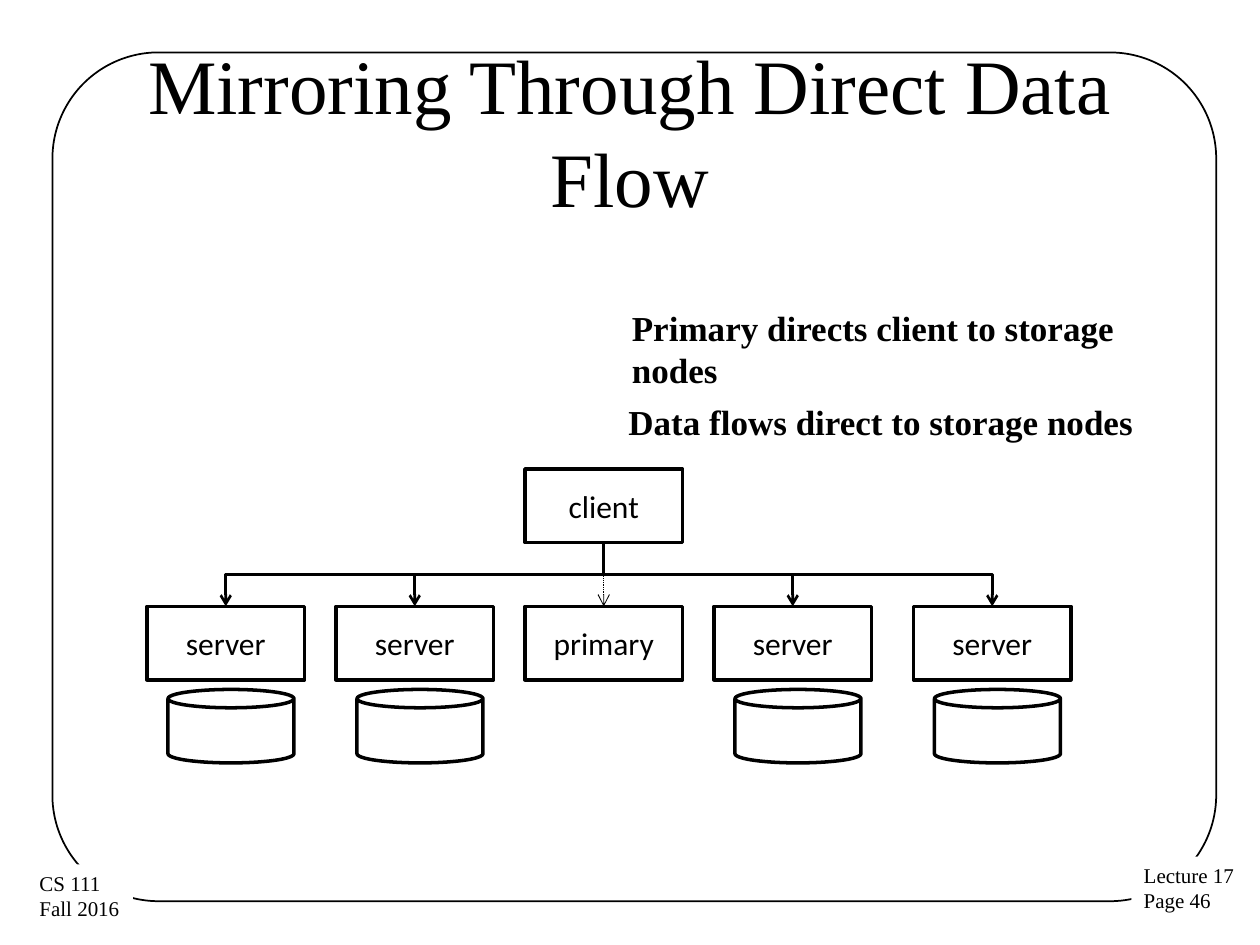
from pptx import Presentation
from pptx.dml.color import RGBColor
from pptx.enum.dml import MSO_LINE
from pptx.enum.shapes import MSO_CONNECTOR, MSO_SHAPE
from pptx.enum.text import MSO_ANCHOR, PP_ALIGN
from pptx.oxml.ns import qn
from pptx.util import Pt
from lxml import etree

LEFT, CENTER = PP_ALIGN.LEFT, PP_ALIGN.CENTER
TOP, MIDDLE = MSO_ANCHOR.TOP, MSO_ANCHOR.MIDDLE
RECT, ROUNDED, CAN = MSO_SHAPE.RECTANGLE, MSO_SHAPE.ROUNDED_RECTANGLE, MSO_SHAPE.CAN
STRAIGHT, ELBOW = MSO_CONNECTOR.STRAIGHT, MSO_CONNECTOR.ELBOW
DOTTED = MSO_LINE.ROUND_DOT

COLORS = {"ink": "000000", "paper": "FFFFFF"}
SERIF, SANS = "Times New Roman", "Calibri"

TITLE = "Mirroring Through Direct Data Flow"
FRAME = (30, 30, 665, 485)
CORNERS = [
    (["Lecture 17", "Page 46"], (646.5, 489.5, 67, 37)),
    (["CS 111", "Fall 2016 "], (15.5, 494, 60.5, 37)),
]
REMARKS = [
    ("Data flows direct to storage nodes", (352, 225.5, 312, 31.5)),
    ("Primary directs client to storage nodes", (354, 171.5, 312, 55.5)),
]
NODES = [("server", 84), ("server", 192), ("primary", 300), ("server", 408), ("server", 522)]
CLIENT_LEFT, CLIENT_TOP = 300, 268
NODE_TOP, DISK_TOP = 346.5, 394
BOX_W, BOX_H = 90, 42
DISK_W, DISK_INDENT = 72, 12


def color(name):
    return RGBColor.from_string(COLORS[name])


def write(frame, lines, size=18, font=SANS, bold=False, align=CENTER, anchor=MIDDLE, wrap=True):
    frame.word_wrap = wrap
    frame.vertical_anchor = anchor
    frame.text = "\n".join(lines)
    for paragraph in frame.paragraphs:
        paragraph.alignment = align
        style = paragraph.runs[0].font
        style.size, style.name, style.bold = Pt(size), font, bold
        style.color.rgb = color("ink")


def draw(kind, box, line=None, fill=None):
    shape = slide.shapes.add_shape(kind, *map(Pt, box))
    shape.shadow.inherit = False
    if fill:
        shape.fill.solid()
        shape.fill.fore_color.rgb = color(fill)
    else:
        shape.fill.background()
    if line:
        shape.line.color.rgb = color("ink")
        shape.line.width = Pt(line)
    else:
        shape.line.fill.background()
    return shape


def arrow(kind, start, end, width):
    link = slide.shapes.add_connector(kind, *map(Pt, start + end))
    link.line.color.rgb = color("ink")
    link.line.width = Pt(width)
    etree.SubElement(link.line._get_or_add_ln(), qn("a:tailEnd"), type="arrow")
    etree.SubElement(link._element.spPr, qn("a:effectLst"))
    return link


def drop(start, end):
    (x1, y1), (x2, y2) = start, end
    span, fall = abs(x2 - x1), y2 - y1
    mid_x, mid_y = (x1 + x2) / 2, (y1 + y2) / 2
    link = arrow(ELBOW, (mid_x - fall / 2, mid_y - span / 2),
                 (mid_x + fall / 2, mid_y + span / 2), 1.5)
    turn = link._element.spPr.find(qn("a:xfrm"))
    turn.set("rot", str((90 if x2 < x1 else 270) * 60000))
    if x2 > x1:
        turn.set("flipH", "1")


prs = Presentation()
prs.slide_width, prs.slide_height = Pt(720), Pt(540)
slide = prs.slides.add_slide(prs.slide_layouts[5])

draw(ROUNDED, FRAME, line=1).adjustments[0] = 0.125
for lines, box in CORNERS:
    corner = draw(RECT, box, fill="paper")
    write(corner.text_frame, lines, size=12, font=SERIF, align=LEFT, anchor=TOP, wrap=False)

title = slide.shapes.title
title.left, title.top, title.width, title.height = map(Pt, (36, 29.5, 648, 90))
write(title.text_frame, [TITLE], size=44, font=SERIF)

client = draw(RECT, (CLIENT_LEFT, CLIENT_TOP, BOX_W, BOX_H), line=2)
write(client.text_frame, ["client"])
source = (CLIENT_LEFT + BOX_W / 2, CLIENT_TOP + BOX_H)

for label, left in NODES:
    node = draw(RECT, (left, NODE_TOP, BOX_W, BOX_H), line=2)
    write(node.text_frame, [label])
    target = (left + BOX_W / 2, NODE_TOP)
    if label == "server":
        draw(CAN, (left + DISK_INDENT, DISK_TOP, DISK_W, BOX_H), line=2)
        drop(source, target)
    else:
        arrow(STRAIGHT, source, target, 0.5).line.dash_style = DOTTED

for remark, box in REMARKS:
    note = slide.shapes.add_textbox(*map(Pt, box))
    write(note.text_frame, [remark], size=20, font=SERIF, bold=True, align=LEFT, anchor=TOP)

prs.save("out.pptx")
